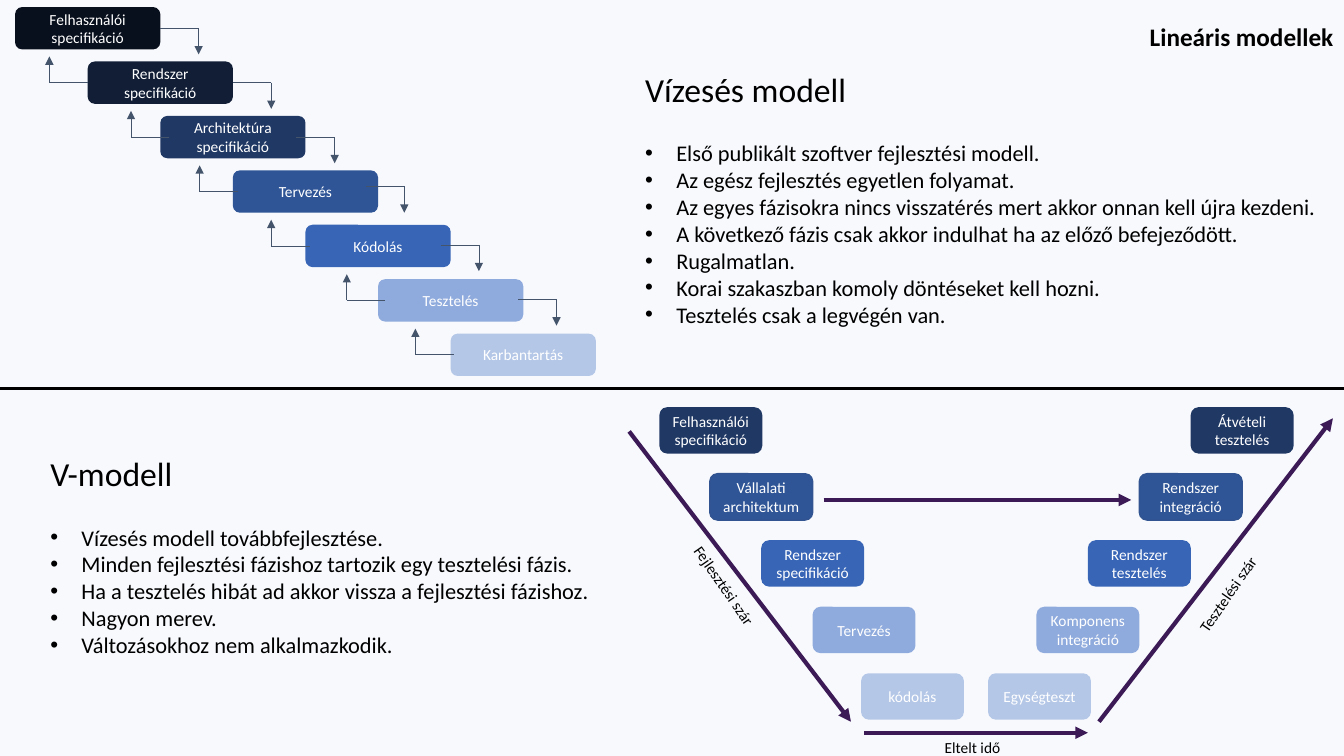
from lxml import etree
from pptx import Presentation
from pptx.dml.color import RGBColor
from pptx.enum.shapes import MSO_CONNECTOR, MSO_SHAPE
from pptx.enum.text import MSO_ANCHOR, MSO_AUTO_SIZE, PP_ALIGN
from pptx.oxml.ns import qn
from pptx.util import Inches, Pt

STRAIGHT = MSO_CONNECTOR.STRAIGHT
ROUNDED = MSO_SHAPE.ROUNDED_RECTANGLE
TOP, MIDDLE = MSO_ANCHOR.TOP, MSO_ANCHOR.MIDDLE
LEFT, CENTER = PP_ALIGN.LEFT, PP_ALIGN.CENTER
NO_FIT = MSO_AUTO_SIZE.NONE

COLORS = {
    "background": "F7F9FD", "black": "000000", "white": "FFFFFF",
    "step": "44546A", "arrow": "3C1A56", "outline": "325491",
    "ink": "09101D", "night": "111E35", "navy": "203864", "royal": "2F5597",
    "blue": "3865B6", "sky": "8FAADC", "pale": "B4C7E7",
}

PHASES = [
    ("Felhasználói specifikáció", "ink"),
    ("Rendszer specifikáció", "night"),
    ("Architektúra specifikáció", "navy"),
    ("Tervezés", "royal"),
    ("Kódolás", "blue"),
    ("Tesztelés", "sky"),
    ("Karbantartás", "pale"),
]
FORWARD_STARTS = [(1.59, 0.28), (2.31, 0.82), (2.94, 1.36),
                  (3.63, 1.85), (4.37, 2.43), (5.14, 2.97)]
BACK_STARTS = [0.87, 1.68, 2.36, 3.07, 3.82, 4.5]

V_LEVELS = [
    ("navy", None, (6.54, "Felhasználói\nspecifikáció"), (11.81, "Átvételi\ntesztelés")),
    ("royal", "outline", (7.04, "Vállalati\narchitektum"), (11.3, "Rendszer\nintegráció")),
    ("blue", None, (7.55, "Rendszer\nspecifikáció"), (10.79, "Rendszer\ntesztelés")),
    ("sky", None, (8.06, "Tervezés"), (10.28, "Komponens\nintegráció")),
    ("pale", None, (8.54, "kódolás"), (9.8, "Egységteszt")),
]
V_ARROWS = [
    ((6.24, 4.28), (8.44, 7.16)),
    ((10.9, 7.16), (13.22, 4.15)),
    ((8.57, 7.27), (10.79, 7.27)),
    ((8.17, 4.96), (11.22, 4.96)),
]
V_LABELS = [
    ("Fejlesztési szár", (6.63, 5.71, 1.19, 0.24), 55.3),
    ("Eltelt idő", (9.27, 7.27, 0.86, 0.23), 0),
    ("Tesztelési szár", (11.6, 5.71, 1.19, 0.24), 304.7),
]

WATERFALL_POINTS = [
    "Első publikált szoftver fejlesztési modell.",
    "Az egész fejlesztés egyetlen folyamat.",
    "Az egyes fázisokra nincs visszatérés mert akkor onnan kell újra kezdeni.",
    "A következő fázis csak akkor indulhat ha az előző befejeződött.",
    "Rugalmatlan.",
    "Korai szakaszban komoly döntéseket kell hozni.",
    "Tesztelés csak a legvégén van.",
]
V_POINTS = [
    "Vízesés modell továbbfejlesztése.",
    "Minden fejlesztési fázishoz tartozik egy tesztelési fázis.",
    "Ha a tesztelés hibát ad akkor vissza a fejlesztési fázishoz.",
    "Nagyon merev.",
    "Változásokhoz nem alkalmazkodik.",
]


def rgb(name):
    """Return the named palette colour."""
    return RGBColor.from_string(COLORS[name])


def format_paragraph(para, size, color="black", bold=False, align=LEFT):
    """Apply alignment and font to a paragraph."""
    para.alignment = align
    for span in para.runs:
        values = {"name": "Calibri", "size": Pt(size), "bold": bold}
        for key, value in values.items():
            setattr(span.font, key, value)
        span.font.color.rgb = rgb(color)


def prepare_frame(frame, anchor=TOP):
    """Make a text frame wrap inside a fixed box."""
    values = {"word_wrap": True, "auto_size": NO_FIT, "vertical_anchor": anchor}
    for key, value in values.items():
        setattr(frame, key, value)


def add_phase(page, text, left, top, width, height, fill, outline=None):
    """Add a rounded phase box with centred white text."""
    box = page.shapes.add_shape(ROUNDED, *map(Inches, (left, top, width, height)))
    box.shadow.inherit = False
    box.fill.solid()
    box.fill.fore_color.rgb = rgb(fill)
    if outline:
        box.line.color.rgb = rgb(outline)
        box.line.width = Pt(1)
    else:
        box.line.fill.background()
    prepare_frame(box.text_frame, MIDDLE)
    box.text_frame.text = text
    for para in box.text_frame.paragraphs:
        format_paragraph(para, 11, "white", align=CENTER)


def add_line(page, start, end, color, width, arrow=False):
    """Add a straight line, optionally with an arrowhead at its end."""
    line = page.shapes.add_connector(STRAIGHT, *map(Inches, (*start, *end)))
    line.line.color.rgb = rgb(color)
    line.line.width = Pt(width)
    properties = line._element.spPr
    if arrow:
        etree.SubElement(properties.find(qn("a:ln")), qn("a:tailEnd"), type="triangle")
    etree.SubElement(properties, qn("a:effectLst"))


def add_step(page, x, y, reach, rise):
    """Add a right-angled step: a level line and a vertical arrow."""
    corner = (x + reach, y)
    add_line(page, (x, y), corner, "step", 0.5)
    add_line(page, corner, (x + reach, y + rise), "step", 0.5, arrow=True)


def add_label(page, text, place, rotation):
    """Add a small label, turned by the given angle."""
    box = page.shapes.add_textbox(*map(Inches, place))
    box.rotation = rotation
    prepare_frame(box.text_frame)
    box.text_frame.margin_right = 0
    box.text_frame.text = text
    format_paragraph(box.text_frame.paragraphs[0], 11)


def add_description(page, heading, points, place):
    """Add a heading followed by a bulleted list."""
    box = page.shapes.add_textbox(*map(Inches, place))
    frame = box.text_frame
    prepare_frame(frame)
    frame.text = "\n".join([heading, *points])
    head, *bullets = frame.paragraphs
    format_paragraph(head, 24)
    for para in bullets:
        properties = para._p.get_or_add_pPr()
        properties.set("marL", str(Inches(0.31)))
        properties.set("indent", str(-Inches(0.31)))
        etree.SubElement(properties, qn("a:buFont"), typeface="Arial")
        etree.SubElement(properties, qn("a:buChar"), char="•")
        format_paragraph(para, 16)
    bullets[0].space_before = Pt(22)


def set_title(page, text):
    """Place and format the slide title."""
    title = page.shapes.title
    place = {"left": 11.25, "top": 0.16, "width": 2.13, "height": 0.4}
    for key, value in place.items():
        setattr(title, key, Inches(value))
    prepare_frame(title.text_frame)
    title.text_frame.text = text
    format_paragraph(title.text_frame.paragraphs[0], 18, bold=True, align=CENTER)


def draw_v_model(page):
    """Draw both arms of the V with arrows and labels."""
    for row, (fill, outline, *sides) in enumerate(V_LEVELS):
        for left, text in sides:
            add_phase(page, text, left, 4.04 + 0.66 * row, 1.02, 0.46, fill, outline)
    for start, end in V_ARROWS:
        add_line(page, start, end, "arrow", 3, arrow=True)
    for label in V_LABELS:
        add_label(page, *label)


def draw_waterfall(page):
    """Draw the cascade of phases and the steps between them."""
    for row, (text, fill) in enumerate(PHASES):
        add_phase(page, text, 0.15 + 0.72 * row, 0.07 + 0.54 * row, 1.44, 0.42, fill)
    for x, y in FORWARD_STARTS:
        add_step(page, x, y, 0.38, 0.26)
    for row, x in enumerate(BACK_STARTS):
        add_step(page, x, 0.82 + 0.54 * row, -0.38, -0.26)


def main():
    """Build the slide and save it."""
    deck = Presentation()
    deck.slide_width, deck.slide_height = Inches(13.33), Inches(7.5)
    page = deck.slides.add_slide(deck.slide_layouts[5])
    page.background.fill.solid()
    page.background.fill.fore_color.rgb = rgb("background")
    draw_v_model(page)
    draw_waterfall(page)
    add_line(page, (0, 3.85), (13.33, 3.85), "black", 2.25)
    add_description(page, "Vízesés modell", WATERFALL_POINTS, (6.3, 0.63, 7.15, 2.69))
    add_description(page, "V-modell", V_POINTS, (0.4, 4.44, 7.15, 2.42))
    set_title(page, "Lineáris modellek")
    deck.save("out.pptx")


if __name__ == "__main__":
    main()
